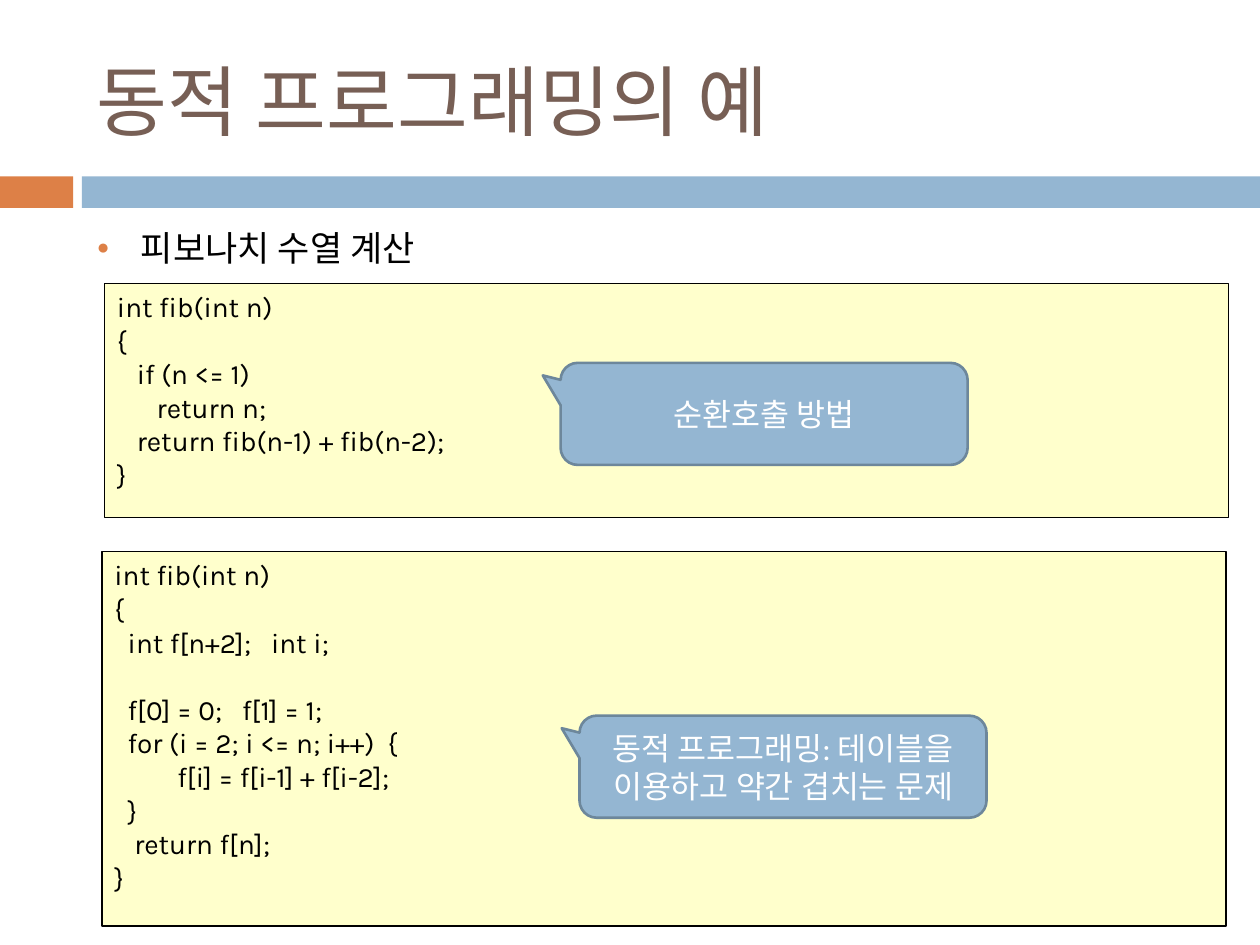
from lxml.etree import SubElement
from pptx import Presentation
from pptx.dml.color import RGBColor
from pptx.enum.shapes import MSO_SHAPE
from pptx.enum.text import MSO_ANCHOR, PP_ALIGN
from pptx.oxml.ns import qn
from pptx.util import Inches, Pt

ORANGE = RGBColor(0xDD, 0x80, 0x47)
BLUE = RGBColor(0x94, 0xB6, 0xD2)
DARK_BLUE = RGBColor(0x6D, 0x87, 0x9B)
BROWN = RGBColor(0x77, 0x5F, 0x55)
CREAM = RGBColor(0xFF, 0xFF, 0xCC)
BLACK = RGBColor(0, 0, 0)
WHITE = RGBColor(0xFF, 0xFF, 0xFF)

TITLE = {"name": "Calibri", "size": Pt(44)}
BODY = {"name": "Arial", "size": Pt(20)}
CODE = {"name": "Karla", "size": Pt(16)}
CALLOUT = {"name": "Calibri", "size": Pt(18)}

RECURSIVE_CODE = """int fib(int n)
{
   if (n <= 1)
      return n;
   return fib(n-1) + fib(n-2);
}"""

DYNAMIC_CODE = """int fib(int n)
{
  int f[n+2];   int i;
 
  f[0] = 0;   f[1] = 1;
  for (i = 2; i <= n; i++)  {
\tf[i] = f[i-1] + f[i-2];
  }
   return f[n];
}"""


def write(sp, text, style, color, anchor=MSO_ANCHOR.TOP, align=PP_ALIGN.LEFT):
    tf = sp.text_frame
    tf.word_wrap = True
    tf.vertical_anchor = anchor
    tf.text = text
    for p in tf.paragraphs:
        p.alignment = align
        for r in p.runs:
            for key, value in style.items():
                setattr(r.font, key, value)
            r.font.color.rgb = color


def add_text(s, at, text, style, color, anchor=MSO_ANCHOR.TOP):
    sp = s.shapes.add_textbox(*map(Inches, at))
    write(sp, text, style, color, anchor)
    return sp


def add_box(s, kind, at, fill, line=None, width=0.75):
    sp = s.shapes.add_shape(kind, *map(Inches, at))
    sp.shadow.inherit = False
    sp.fill.solid()
    sp.fill.fore_color.rgb = fill
    if line is None:
        sp.line.fill.background()
    else:
        sp.line.color.rgb = line
        sp.line.width = Pt(width)
    return sp


def add_bullet(p, indent):
    pPr = p._p.get_or_add_pPr()
    pPr.set("marL", str(Inches(indent)))
    pPr.set("indent", str(-Inches(indent)))
    color = SubElement(pPr, qn("a:buClr"))
    SubElement(color, qn("a:srgbClr"), val=str(ORANGE))
    SubElement(pPr, qn("a:buSzPct"), val="60000")
    SubElement(pPr, qn("a:buFont"), typeface="Arial")
    SubElement(pPr, qn("a:buChar"), char="●")


def add_code(s, at, code):
    sp = add_box(s, MSO_SHAPE.RECTANGLE, at, CREAM, BLACK)
    write(sp, code, CODE, BLACK)


def add_callout(s, left, top, text):
    at = (left, top, 3.23, 0.81)
    sp = add_box(s, MSO_SHAPE.ROUNDED_RECTANGULAR_CALLOUT, at, BLUE, DARK_BLUE, 1.5)
    for i, value in enumerate((-0.544, -0.377, 0.167)):
        sp.adjustments[i] = value
    write(sp, text, CALLOUT, WHITE, MSO_ANCHOR.MIDDLE, PP_ALIGN.CENTER)


def main():
    prs = Presentation()
    prs.slide_width, prs.slide_height = Inches(10), Inches(7.5)
    s = prs.slides.add_slide(prs.slide_layouts[6])

    add_box(s, MSO_SHAPE.RECTANGLE, (0, 1.4, 0.58, 0.25), ORANGE)
    add_box(s, MSO_SHAPE.RECTANGLE, (0.65, 1.4, 9.35, 0.25), BLUE)
    add_text(s, (0.67, 0.25, 8.92, 1.08), "동적 프로그래밍의 예",
             TITLE, BROWN, MSO_ANCHOR.MIDDLE)
    body = add_text(s, (0.67, 1.75, 8.92, 4.92), "피보나치 수열 계산", BODY, BLACK)
    add_bullet(body.text_frame.paragraphs[0], 0.35)

    add_code(s, (0.83, 2.25, 8.92, 1.86), RECURSIVE_CODE)
    add_code(s, (0.81, 4.38, 8.92, 2.97), DYNAMIC_CODE)
    add_callout(s, 4.45, 2.88, "순환호출 방법")
    add_callout(s, 4.6, 5.68, "동적 프로그래밍: 테이블을 이용하고 약간 겹치는 문제")

    prs.save("out.pptx")


if __name__ == "__main__":
    main()
